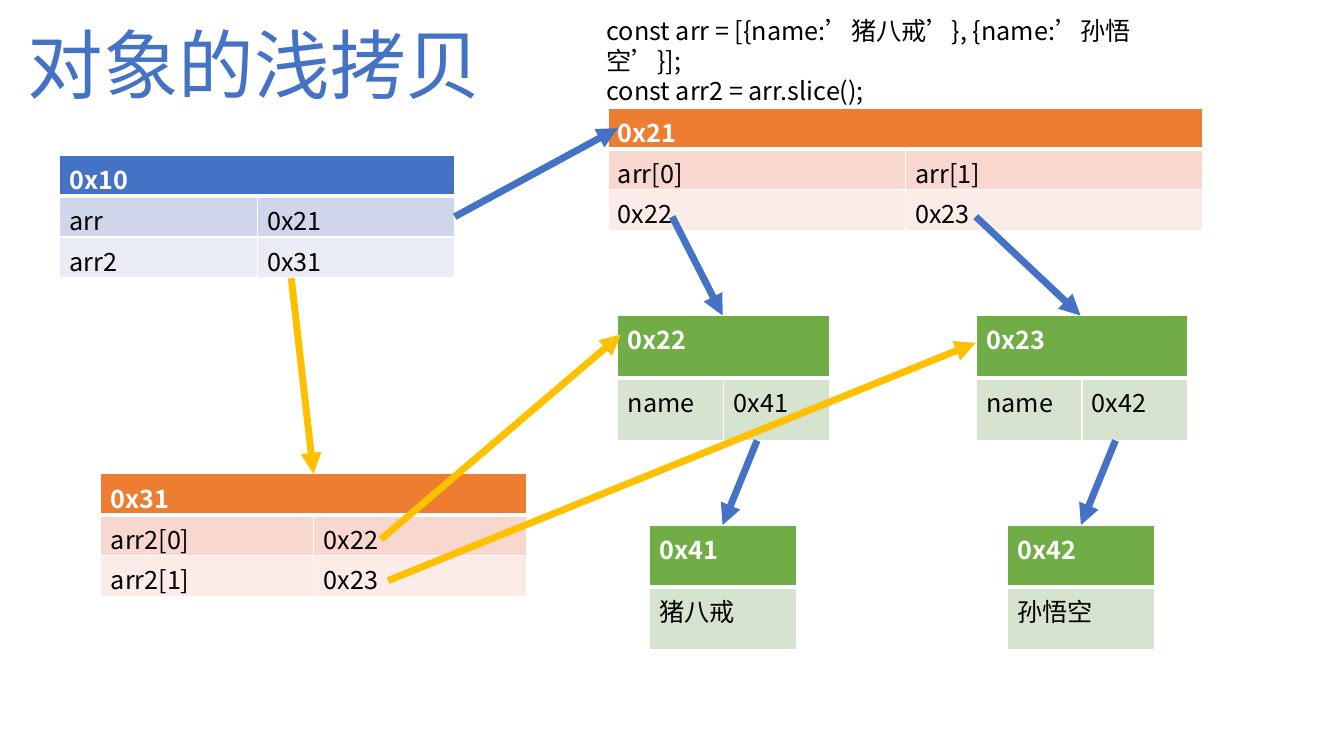
"""Build the slide that explains a shallow copy of an array of objects."""
from pptx import Presentation
from pptx import util as u
from pptx.dml.color import RGBColor
from pptx.enum import shapes, text
from pptx.oxml import parse_xml
from pptx.oxml.ns import nsdecls, qn

COLOURS = {
    "white": "FFFFFF", "black": "000000", "blue": "4472C4", "orange": "ED7D31",
    "green": "70AD47", "gold": "FFC000",
}
BANDS = {
    "blue": ("CFD5EA", "E9EBF5"),
    "orange": ("F8D7CE", "FCECE8"),
    "green": ("D5E3CF",),
}


class Diagram:
    """Holds the style and the current slide."""

    font = "Noto Sans CJK SC"
    arrow_width = u.Pt(5)

    def __init__(self, slide):
        self.slide = slide

    def style(self, paragraph, colour, size=18, bold=False):
        font = paragraph.font
        font.name, font.size, font.bold = self.font, u.Pt(size), bold
        font.color.rgb = RGBColor.from_string(COLOURS[colour])
        for run in paragraph.runs:
            east_asian = parse_xml(f'<a:ea {nsdecls("a")} typeface="{self.font}"/>')
            run._r.get_or_add_rPr().append(east_asian)

    def label(self, left, top, width, height, lines, colour, size, wrap, align):
        box = self.slide.shapes.add_textbox(*map(u.Cm, (left, top, width, height)))
        frame = box.text_frame
        frame.word_wrap = wrap
        frame.auto_size = text.MSO_AUTO_SIZE.SHAPE_TO_FIT_TEXT
        frame.text = "\n".join(lines)
        for paragraph in frame.paragraphs:
            paragraph.alignment = align
            self.style(paragraph, colour, size)

    def cell(self, cell, words, fill, colour, bold, bottom):
        cell.text = words
        self.style(cell.text_frame.paragraphs[0], colour, bold=bold)
        properties = cell._tc.get_or_add_tcPr()
        for side, points in (("L", 1), ("R", 1), ("T", 1), ("B", bottom)):
            properties.append(parse_xml(
                f'<a:ln{side} {nsdecls("a")} w="{u.Pt(points)}"><a:solidFill>'
                f'<a:srgbClr val="{COLOURS["white"]}"/></a:solidFill></a:ln{side}>'))
        cell.fill.solid()
        cell.fill.fore_color.rgb = RGBColor.from_string(fill)

    def memory(self, left, top, width, row_height, theme, address, rows):
        count, columns = len(rows) + 1, len(rows[0])
        frame = self.slide.shapes.add_table(
            count, columns, u.Cm(left), u.Cm(top), u.Cm(width), u.Cm(row_height * count))
        table = frame.table
        if columns > 1:
            table.cell(0, 0).merge(table.cell(0, columns - 1))
        for column in range(columns):
            heading = address if column == 0 else ""
            self.cell(table.cell(0, column), heading, COLOURS[theme], "white", True, 3)
        for index, (values, fill) in enumerate(zip(rows, BANDS[theme]), 1):
            for column, value in enumerate(values):
                self.cell(table.cell(index, column), value, fill, "black", False, 1)

    def pointer(self, colour, *ends):
        arrow = self.slide.shapes.add_connector(
            shapes.MSO_CONNECTOR.STRAIGHT, *map(u.Cm, ends))
        arrow.line.width = self.arrow_width
        arrow.line.color.rgb = RGBColor.from_string(COLOURS[colour])
        properties = arrow._element.spPr
        properties.find(qn("a:ln")).append(
            parse_xml(f'<a:tailEnd {nsdecls("a")} type="triangle"/>'))
        properties.append(parse_xml(f'<a:effectLst {nsdecls("a")}/>'))


deck = Presentation()
deck.slide_width, deck.slide_height = u.Cm(33.87), u.Cm(19.05)
diagram = Diagram(deck.slides.add_slide(deck.slide_layouts[6]))

diagram.label(0.38, 0.33, 12.07, 2.57, ["对象的浅拷贝"], "blue", 54, False,
              text.PP_ALIGN.CENTER)
diagram.label(15.04, 0.25, 15.27, 1.8,
              ["const arr = [{name:’猪八戒’}, {name:’孙悟空’}];",
               "const arr2 = arr.slice();"],
              "black", 18, True, text.PP_ALIGN.LEFT)

diagram.memory(1.5, 3.91, 9.96, 1.03, "blue", "0x10",
               [("arr", "0x21"), ("arr2", "0x31")])
diagram.memory(15.32, 2.72, 14.99, 1.03, "orange", "0x21",
               [("arr[0]", "arr[1]"), ("0x22", "0x23")])
diagram.memory(2.54, 11.94, 10.72, 1.03, "orange", "0x31",
               [("arr2[0]", "0x22"), ("arr2[1]", "0x23")])

people = [("0x22", "0x41", "猪八戒"), ("0x23", "0x42", "孙悟空")]
for index, (person, name, value) in enumerate(people):
    shift = index * 9.03
    diagram.memory(15.57 + shift, 7.95, 5.33, 1.57, "green", person, [("name", name)])
    diagram.memory(16.36 + shift, 13.23, 3.71, 1.57, "green", name, [(value,)])
    diagram.pointer("blue", 19.08 + shift, 11.1, 18.21 + shift, 13.23)

for ends in [(11.46, 5.46, 15.57, 3.23), (16.94, 5.46, 18.21, 7.95),
             (24.59, 5.46, 27.23, 7.95)]:
    diagram.pointer("blue", *ends)
for ends in [(9.6, 13.59, 15.65, 8.43), (9.78, 14.63, 24.59, 8.64),
             (7.34, 7.01, 7.9, 11.94)]:
    diagram.pointer("gold", *ends)

deck.save("out.pptx")
